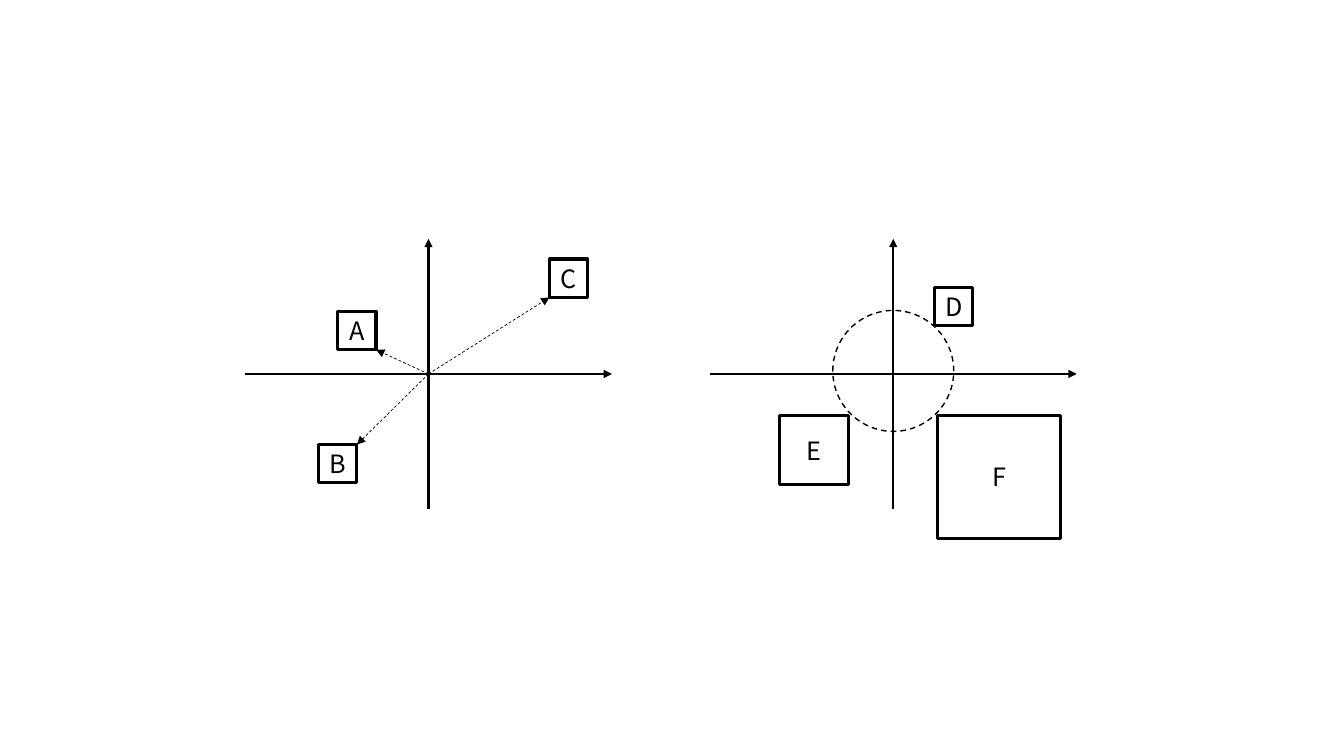
from lxml.etree import SubElement
from pptx import Presentation
from pptx.dml.color import RGBColor
from pptx.enum.dml import MSO_LINE_DASH_STYLE as Dash
from pptx.enum.shapes import MSO_CONNECTOR as Connector, MSO_SHAPE as Shape
from pptx.enum.text import MSO_ANCHOR as Anchor, PP_ALIGN as Align
from pptx.oxml.ns import qn
from pptx.util import Inches, Pt

BLACK = RGBColor(0x00, 0x00, 0x00)
FONT = "Noto Sans CJK KR"
PANEL_TOP, PANEL_WIDTH, PANEL_HEIGHT = 2.37, 3.64, 2.68
VECTOR_PANEL = (2.43, PANEL_TOP, PANEL_WIDTH, PANEL_HEIGHT)
CIRCLE_PANEL = (7.04, PANEL_TOP, PANEL_WIDTH, PANEL_HEIGHT)
SMALL = 0.38
VECTOR_SQUARES = [
    ("A", -0.52, -0.24, SMALL),
    ("B", -0.71, 0.7, SMALL),
    ("C", 1.2, -0.76, SMALL),
]
CIRCLE_SQUARES = [
    ("D", 0.41, -0.48, SMALL),
    ("E", -0.44, 0.41, 0.69),
    ("F", 0.44, 0.41, 1.22),
]
CIRCLE_SIZE, CIRCLE_RISE = 1.2, 0.03


def add_arrow(shapes, start, end, weight, dash=None):
    """Draw a straight arrow between two points."""
    arrow = shapes.add_connector(
        Connector.STRAIGHT, *(Inches(value) for value in (*start, *end))
    )
    arrow.line.color.rgb = BLACK
    arrow.line.width = Pt(weight)
    if dash:
        arrow.line.dash_style = dash
    SubElement(arrow.line._get_or_add_ln(), qn("a:tailEnd"), type="triangle")
    SubElement(arrow._element.spPr, qn("a:effectLst"))


def add_outline(page, kind, left, top, size, weight):
    """Draw an unfilled black shape with equal sides."""
    outline = page.shapes.add_shape(
        kind, Inches(left), Inches(top), Inches(size), Inches(size)
    )
    outline.shadow.inherit = False
    outline.fill.background()
    outline.line.color.rgb = BLACK
    outline.line.width = Pt(weight)
    return outline


def add_axes(page, box):
    """Draw crossed axes filling the box and return their origin."""
    left, top, width, height = box
    x, y = left + width / 2, top + height / 2
    axes = page.shapes.add_group_shape().shapes
    add_arrow(axes, (left, y), (left + width, y), 1.5)
    add_arrow(axes, (x, top + height), (x, top), 1.5)
    return x, y


def add_square(page, origin, label, dx, dy, size):
    """Draw a labelled square growing outward from its corner near the origin."""
    left = origin[0] + dx - (size if dx < 0 else 0)
    top = origin[1] + dy - (size if dy < 0 else 0)
    square = add_outline(page, Shape.RECTANGLE, left, top, size, 2.25)
    frame = square.text_frame
    frame.word_wrap = False
    frame.vertical_anchor = Anchor.MIDDLE
    frame.margin_left = frame.margin_right = 0
    frame.margin_top = frame.margin_bottom = 0
    para = frame.paragraphs[0]
    para.text = label
    para.alignment = Align.CENTER
    para.font.name = FONT
    para.font.size = Pt(18)
    para.font.color.rgb = BLACK


def add_vector_panel(page, box):
    """Draw axes with dashed arrows from the origin to each square."""
    x, y = origin = add_axes(page, box)
    for label, dx, dy, size in VECTOR_SQUARES:
        add_square(page, origin, label, dx, dy, size)
        add_arrow(page.shapes, origin, (x + dx, y + dy), 0.5, Dash.DASH)


def add_circle_panel(page, box):
    """Draw axes with squares touching a dashed circle."""
    x, y = origin = add_axes(page, box)
    for square in CIRCLE_SQUARES:
        add_square(page, origin, *square)
    radius = CIRCLE_SIZE / 2
    circle = add_outline(
        page, Shape.OVAL, x - radius, y - radius - CIRCLE_RISE, CIRCLE_SIZE, 1
    )
    circle.line.dash_style = Dash.DASH


def main():
    """Build the slide and save the deck."""
    deck = Presentation()
    deck.slide_width, deck.slide_height = Inches(13.33), Inches(7.5)
    page = deck.slides.add_slide(deck.slide_layouts[6])
    add_vector_panel(page, VECTOR_PANEL)
    add_circle_panel(page, CIRCLE_PANEL)
    deck.save("out.pptx")


if __name__ == "__main__":
    main()
